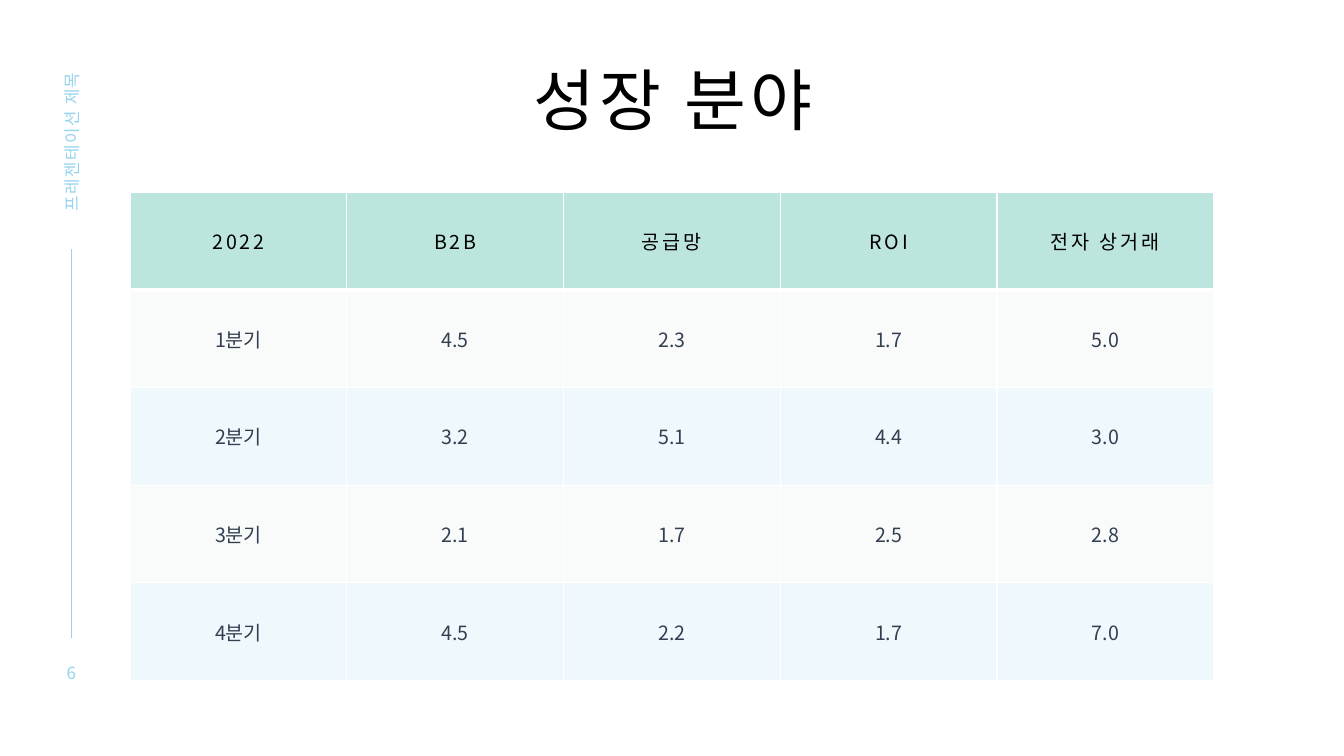
from dataclasses import dataclass

from lxml.etree import SubElement
from pptx import Presentation
from pptx.dml.color import RGBColor
from pptx.enum.shapes import MSO_CONNECTOR as Connector
from pptx.enum.text import MSO_ANCHOR as Anchor, PP_ALIGN as Align
from pptx.oxml.ns import qn
from pptx.util import Inches, Pt


@dataclass(frozen=True)
class Theme:
    font: str = "Noto Sans CJK KR"
    title: str = "000000"
    body: str = "333F50"
    accent: str = "96D3ED"
    header: str = "BCE5DD"
    pale: str = "C7DBE1"
    grid: str = "FFFFFF"
    title_size: int = 48
    cell_size: int = 14
    rail_size: int = 12


THEME = Theme()
SLIDE_SIZE = {"slide_width": Inches(13.33), "slide_height": Inches(7.5)}
UNIT = SLIDE_SIZE["slide_width"] / 160
TITLE_BOX = (15.6, 8, 129, 12)
RAIL_BOX = (5.5, 8.64, 6, 72.72)
TABLE_BOX = (15.5, 22.92, 129, 58.1)

GROWTH = [
    ("2022", "B2B", "공급망", "ROI", "전자 상거래"),
    ("1분기", "4.5", "2.3", "1.7", "5.0"),
    ("2분기", "3.2", "5.1", "4.4", "3.0"),
    ("3분기", "2.1", "1.7", "2.5", "2.8"),
    ("4분기", "4.5", "2.2", "1.7", "7.0"),
]


def units(*lengths):
    return [round(length * UNIT) for length in lengths]


def apply(target, formats):
    for attribute, value in formats.items():
        setattr(target, attribute, value)


def write(frame, words, size, color, spacing, align=Align.CENTER):
    frame.text = words
    paragraph = frame.paragraphs[0]
    paragraph.alignment = align
    run = paragraph.runs[0]
    apply(run.font, {"name": THEME.font, "size": Pt(size), "bold": False})
    run.font.color.rgb = RGBColor.from_string(color)
    properties = run.font._element
    properties.set("spc", str(spacing * 100))
    SubElement(properties, qn("a:ea"), typeface=THEME.font)


def fit_frame(frame, anchor):
    apply(frame, {"word_wrap": True, "vertical_anchor": anchor, "margin_left": 0,
                  "margin_top": 0, "margin_right": 0, "margin_bottom": 0})


def add_title(slide, box):
    title = slide.shapes.title
    apply(title, dict(zip(("left", "top", "width", "height"), units(*box))))
    fit_frame(title.text_frame, Anchor.TOP)
    write(title.text_frame, "성장 분야", THEME.title_size, THEME.title, 3)
    title.text_frame.paragraphs[0].line_spacing = 0.9


def add_label(slide, box, words, spacing, align, rotation=0):
    label = slide.shapes.add_textbox(*units(*box))
    label.rotation = rotation
    fit_frame(label.text_frame, Anchor.MIDDLE)
    write(label.text_frame, words, THEME.rail_size, THEME.accent, spacing, align)


def add_rail(slide, box):
    left, top, width, height = box
    center = left + width / 2
    name_length, name_height, page_height = 23.4, 2.5, 2.4
    rule = slide.shapes.add_connector(
        Connector.STRAIGHT, *units(center, top + 21, center, top + 67.3))
    rule.line.width = Pt(1)
    rule.line.color.rgb = RGBColor.from_string(THEME.accent)
    SubElement(rule._element.spPr, qn("a:effectLst"))
    add_label(slide, (center - name_length / 2, top + (name_length - name_height) / 2,
                      name_length, name_height), "프레젠테이션 제목", 1, Align.RIGHT, 270)
    add_label(slide, (left, top + height - page_height, width, page_height),
              "6", 2, Align.CENTER)


def paint_cell(cell, color, opacity, borders):
    cell.fill.solid()
    cell.fill.fore_color.rgb = RGBColor.from_string(color)
    properties = cell._tc.tcPr
    tint = properties.find(qn("a:solidFill")).find(qn("a:srgbClr"))
    SubElement(tint, qn("a:alpha"), val=str(opacity * 1000))
    for position, (side, points) in enumerate(borders.items()):
        border = SubElement(properties, qn(f"a:ln{side}"), w=str(Pt(points)))
        SubElement(SubElement(border, qn("a:solidFill")), qn("a:srgbClr"), val=THEME.grid)
        properties.insert(position, border)


def add_growth_table(slide, box):
    growth = slide.shapes.add_table(len(GROWTH), len(GROWTH[0]), *units(*box)).table
    growth.horz_banding = False
    bands = [(THEME.accent, 15), (THEME.pale, 10)]
    for row, values in enumerate(GROWTH):
        is_header = row == 0
        fill = (THEME.header, 100) if is_header else bands[row % 2]
        borders = {"L": 1, "R": 1, "T": 3 if row == 1 else 1, "B": 3 if is_header else 1}
        ink, spacing = (THEME.title, 2) if is_header else (THEME.body, 0)
        for column, value in enumerate(values):
            cell = growth.cell(row, column)
            cell.vertical_anchor = Anchor.MIDDLE
            write(cell.text_frame, value, THEME.cell_size, ink, spacing)
            paint_cell(cell, *fill, borders)


def main():
    deck = Presentation()
    apply(deck, SLIDE_SIZE)
    slide = deck.slides.add_slide(deck.slide_layouts[5])
    add_rail(slide, RAIL_BOX)
    add_title(slide, TITLE_BOX)
    add_growth_table(slide, TABLE_BOX)
    deck.save("out.pptx")


if __name__ == "__main__":
    main()
